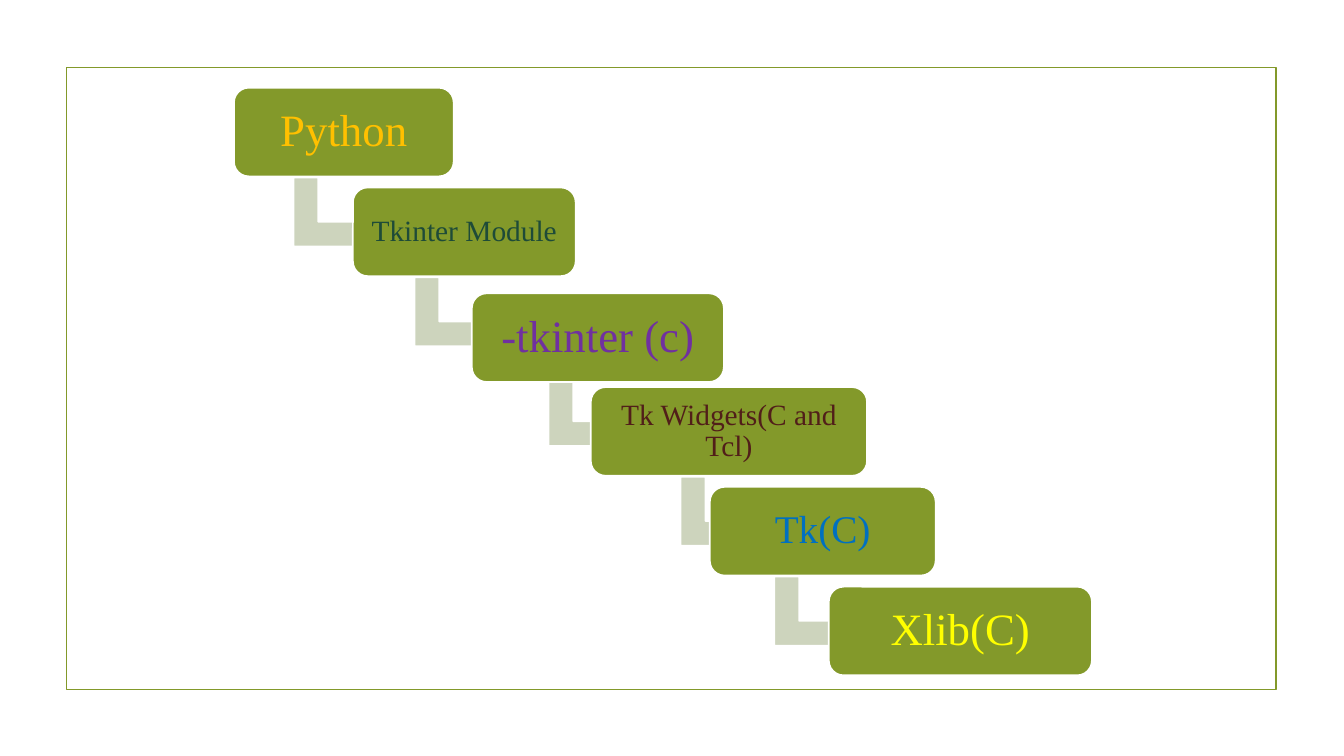
from pptx import Presentation
from pptx.dml.color import RGBColor
from pptx.enum.shapes import MSO_SHAPE
from pptx.enum.text import MSO_ANCHOR, PP_ALIGN
from pptx.util import Inches, Pt

OLIVE = RGBColor(0x83, 0x99, 0x2A)
SAGE = RGBColor(0xCD, 0xD4, 0xBD)
WHITE = RGBColor(0xFF, 0xFF, 0xFF)
GOLD = RGBColor(0xFF, 0xC0, 0x00)
GREEN = RGBColor(0x1E, 0x4B, 0x38)
PURPLE = RGBColor(0x70, 0x30, 0xA0)
MAROON = RGBColor(0x51, 0x1E, 0x19)
BLUE = RGBColor(0x00, 0x70, 0xC0)
YELLOW = RGBColor(0xFF, 0xFF, 0x00)

STEP_X, STEP_Y = 1.18, 0.99
BOX_H = 0.88
ARROW_W, ARROW_H = 0.75, 0.85
ARROW_DROP = 0.84

LARGE = {"size": 32, "inset": 0.18, "after": 13}
MEDIUM = {"size": 28, "inset": 0.16, "after": 12}
SMALL = {"size": 21, "inset": 0.13, "after": 9}

LAYERS = [
    ("Python", 2.18, GOLD, LARGE, 0, 0.64),
    ("Tkinter Module", 2.21, GREEN, SMALL, 0, 0.66),
    ("-tkinter (c)", 2.5, PURPLE, LARGE, 0.06, 0.81),
    ("Tk Widgets(C and Tcl)", 2.74, MAROON, SMALL, 0, 0.94),
    ("Tk(C)", 2.24, BLUE, MEDIUM, 0, 0.69),
    ("Xlib(C)", 2.61, YELLOW, LARGE, 0, None),
]


def add_block(s, kind, box, fill, line):
    sp = s.shapes.add_shape(kind, *(Inches(v) for v in box))
    sp.shadow.inherit = False
    if fill is None:
        sp.fill.background()
    else:
        sp.fill.solid()
        sp.fill.fore_color.rgb = fill
    sp.line.color.rgb = line
    sp.line.width = Pt(1.25)
    return sp


def add_arrow(s, left, top):
    sp = add_block(s, MSO_SHAPE.BENT_UP_ARROW, (left, top, ARROW_W, ARROW_H), SAGE, WHITE)
    sp.rotation = 90
    for i, value in enumerate((0.3284, 0.25, 0.3578)):
        sp.adjustments[i] = value


def add_layer(s, box, text, color, style):
    sp = add_block(s, MSO_SHAPE.ROUNDED_RECTANGLE, box, OLIVE, WHITE)
    sp.adjustments[0] = 0.1667
    tf = sp.text_frame
    tf.word_wrap = True
    tf.vertical_anchor = MSO_ANCHOR.MIDDLE
    for side in ("left", "top", "right", "bottom"):
        setattr(tf, f"margin_{side}", Inches(style["inset"]))
    p = tf.paragraphs[0]
    for name, value in {"alignment": PP_ALIGN.CENTER, "line_spacing": 0.9,
                        "space_after": Pt(style["after"])}.items():
        setattr(p, name, value)
    r = p.add_run()
    r.text = text
    for name, value in {"name": "Times New Roman", "size": Pt(style["size"])}.items():
        setattr(r.font, name, value)
    r.font.color.rgb = color


def add_staircase(s, left, top):
    for i, (text, width, color, style, nudge, arrow_dx) in enumerate(LAYERS):
        x, y = left + i * STEP_X, top + i * STEP_Y
        if arrow_dx is not None:
            add_arrow(s, x + arrow_dx, y + ARROW_DROP)
        add_layer(s, (x, y + nudge, width, BOX_H), text, color, style)


def main():
    prs = Presentation()
    prs.slide_width, prs.slide_height = Inches(13.33), Inches(7.5)
    s = prs.slides.add_slide(prs.slide_layouts[6])
    add_block(s, MSO_SHAPE.RECTANGLE, (0.66, 0.67, 12, 6.17), None, OLIVE)
    add_staircase(s, 2.32, 0.87)
    prs.save("out.pptx")


if __name__ == "__main__":
    main()
